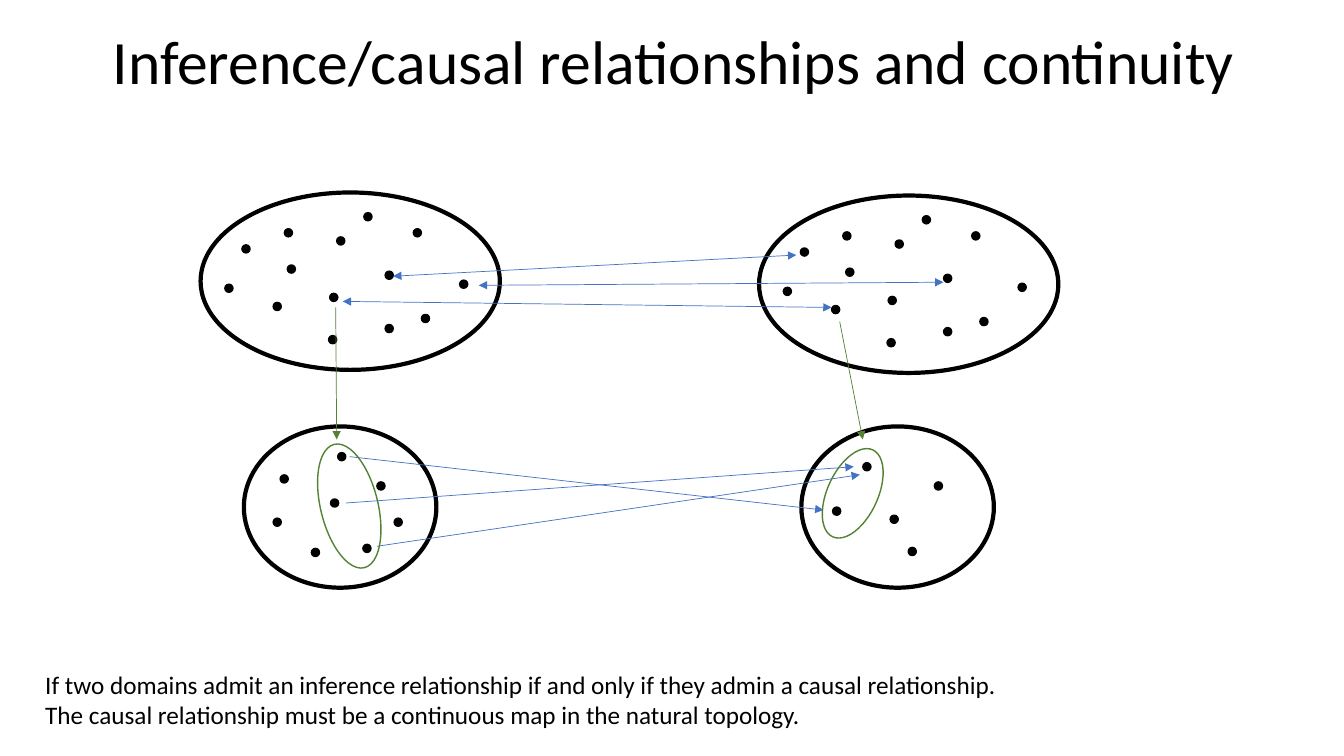
from pptx import Presentation
from pptx.dml.color import RGBColor
from pptx.enum.shapes import MSO_CONNECTOR, MSO_SHAPE
from pptx.enum.text import MSO_ANCHOR, PP_ALIGN
from pptx.oxml.ns import qn
from pptx.util import Pt
from lxml.etree import SubElement

INK = {"black": "000000", "white": "FFFFFF", "blue": "4472C4", "green": "548235"}
FONT = "Calibri"
DOT = 5.8

# Dot corners, measured from the corner of their domain
WIDE = [(97.2, 31.7), (17.3, 65.5), (131.8, 56.2), (131.8, 94.3), (92.2, 72),
        (51.8, 78.5), (61.9, 51.8), (151.9, 25.9), (91.4, 102.2), (59.8, 25.9),
        (116.6, 14.4), (157.7, 87.1), (185, 62.6), (29.5, 37.4)]
CAUSE = [(95, 39.6), (20.9, 65.5), (107.3, 65.5), (48.2, 87.1), (61.9, 51.8),
         (85, 84.2), (67, 18.7), (25.9, 34.6)]
EFFECT = [(95, 39.6), (22.3, 57.6), (76.3, 86.4), (63.4, 63.4), (43.9, 25.9)]

# Arrow ends, measured from the corner of their row
INFER = [(137.5, 59.8, 425.5, 44.7), (101.5, 77.8, 450.7, 82.1),
         (530.6, 64.1, 198.7, 66.3)]
MAPS = [(95.1, 85.6, 440, 34.5), (72.8, 54.7, 435.6, 28.8),
        (75.6, 21.6, 414, 59.7)]
DROPS = [(425.6, -74.9, 442.1, 9.3), (65.6, -85, 66.3, 9.3)]
OPENS = [(416.9, 13.6, 36, 68.4, 24.8), (54.8, 11.5, 41, 90.7, 346.3)]


def color(name):
    return RGBColor.from_string(INK[name])


def oval(slide, box, line, width, fill=None):
    shape = slide.shapes.add_shape(MSO_SHAPE.OVAL, *map(Pt, box))
    shape.shadow.inherit = False
    shape.line.color.rgb = color(line)
    shape.line.width = Pt(width)
    if fill:
        shape.fill.solid()
        shape.fill.fore_color.rgb = color(fill)
    else:
        shape.fill.background()
    return shape


def arrow(slide, ends, hue, both=False):
    link = slide.shapes.add_connector(MSO_CONNECTOR.STRAIGHT, *map(Pt, ends))
    link.line.color.rgb = color(hue)
    link.line.width = Pt(0.5)
    props = link._element.spPr
    line = props.find(qn("a:ln"))
    for tag in ["a:headEnd", "a:tailEnd"] if both else ["a:tailEnd"]:
        SubElement(line, qn(tag), type="triangle")
    SubElement(props, qn("a:effectLst"))


def domain(slide, box, dots):
    """An outlined set with its points."""
    x, y = box[:2]
    oval(slide, box, "black", 3, "white")
    for dx, dy in dots:
        oval(slide, (x + dx, y + dy, DOT, DOT), "black", 1, "black")


def arrows(slide, x, y, ends, hue, both=False):
    for ax, ay, bx, by in ends:
        arrow(slide, (x + ax, y + ay, x + bx, y + by), hue, both)


def row(slide, x, y, size, sets, gap, links, both=False):
    """Domains side by side, joined by blue arrows."""
    for dots, (dx, dy) in zip(sets, [(0, 0), gap]):
        domain(slide, (x + dx, y + dy, *size), dots)
    arrows(slide, x, y, links, "blue", both)


def opens(slide, x, y):
    """Green neighbourhoods and the arrows leading to them."""
    for dx, dy, w, h, turn in OPENS:
        oval(slide, (x + dx, y + dy, w, h), "green", 1).rotation = turn
    arrows(slide, x, y, DROPS, "green")


def write(para, text, size):
    para.text = text
    para.font.name = FONT
    para.font.size = Pt(size)
    para.font.color.rgb = color("black")


def place(shape, box):
    shape.left, shape.top, shape.width, shape.height = map(Pt, box)


def title(slide, box, text):
    head = slide.shapes.title
    place(head, box)
    head.text_frame.vertical_anchor = MSO_ANCHOR.MIDDLE
    para = head.text_frame.paragraphs[0]
    write(para, text, 44)
    para.alignment = PP_ALIGN.CENTER
    para.line_spacing = 0.9


def note(slide, box, lines):
    frame = slide.shapes.add_textbox(*map(Pt, box)).text_frame
    frame.word_wrap = False
    for i, text in enumerate(lines):
        write(frame.add_paragraph() if i else frame.paragraphs[0], text, 18)


def main():
    deck = Presentation()
    deck.slide_width, deck.slide_height = Pt(960), Pt(540)
    slide = deck.slides.add_slide(deck.slide_layouts[5])
    title(slide, (15.1, 10.8, 932.4, 70.6),
          "Inference/causal relationships and continuity")
    # Causal domains below, inference domains above
    row(slide, 174.2, 304.6, (137.5, 115.2), (CAUSE, EFFECT), (398.2, 0), MAPS)
    row(slide, 143.3, 137.5, (213.8, 126.7), (WIDE, WIDE), (398.9, 2.2),
        INFER, both=True)
    opens(slide, 174.2, 304.6)
    note(slide, (25.2, 474.5, 702, 51.1), [
        "If two domains admit an inference relationship if and only if "
        "they admin a causal relationship.",
        "The causal relationship must be a continuous map in the natural topology.",
    ])
    deck.save("out.pptx")


if __name__ == "__main__":
    main()
